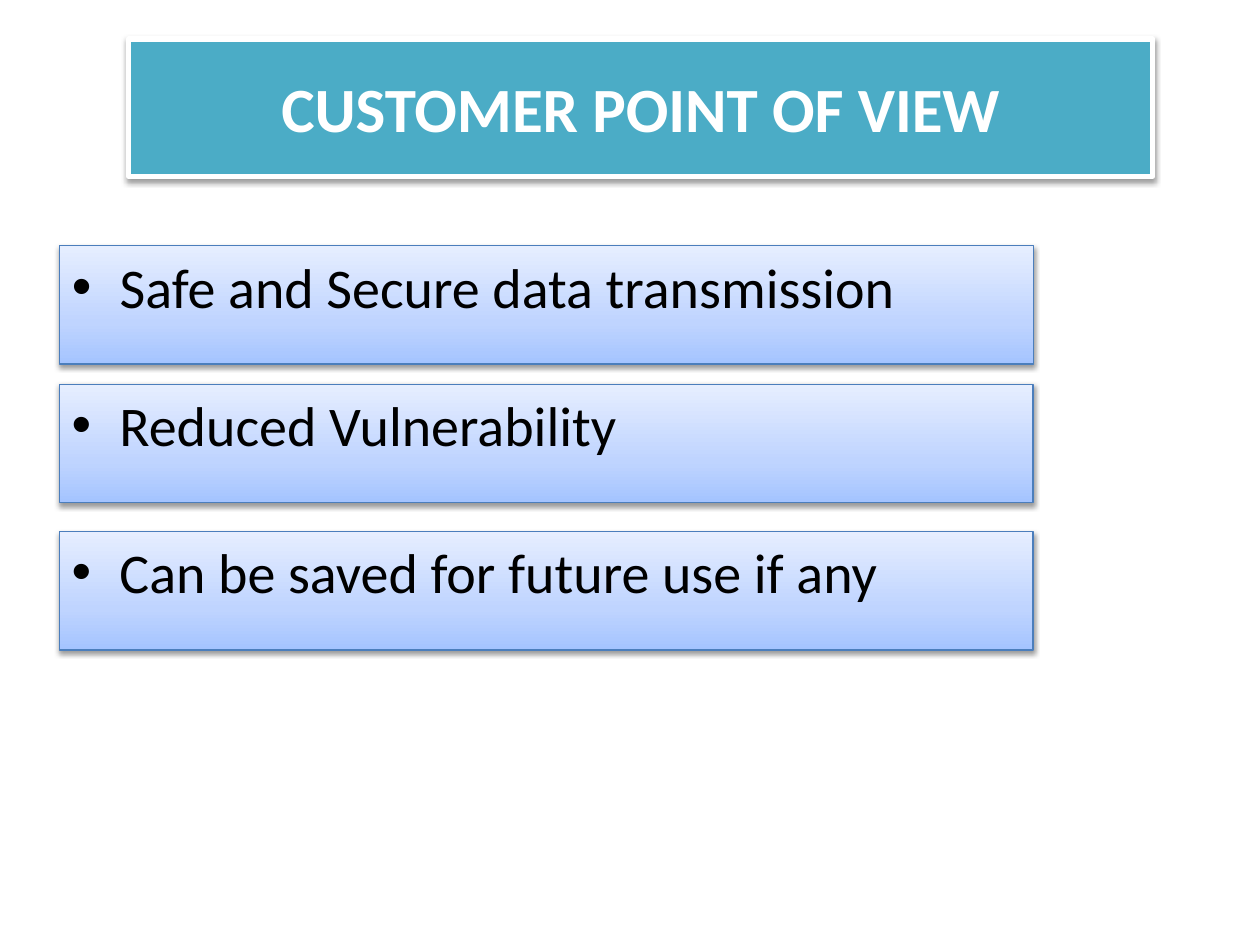
"""Build the customer point of view slide."""
from copy import deepcopy

from lxml import etree
from pptx import Presentation
from pptx.dml.color import RGBColor
from pptx.enum.shapes import MSO_SHAPE
from pptx.enum.text import MSO_ANCHOR, MSO_AUTO_SIZE, PP_ALIGN
from pptx.oxml.ns import qn
from pptx.util import Inches, Pt

RECTANGLE = MSO_SHAPE.RECTANGLE
TOP, MIDDLE = MSO_ANCHOR.TOP, MSO_ANCHOR.MIDDLE
LEFT, CENTER = PP_ALIGN.LEFT, PP_ALIGN.CENTER
NO_AUTOFIT = MSO_AUTO_SIZE.NONE

FONT = "Calibri"
BENEFIT_STOPS = [(0, "A4C4FF"), (0.35, "BFD4FF"), (1, "E6EEFF")]
BENEFITS = [
    ("Safe and Secure data transmission", 1.95),
    ("Reduced Vulnerability", 3.05),
    ("Can be saved for future use if any", 4.22),
]


def rgb(color):
    """Turn a hex string into a colour."""
    return RGBColor.from_string(color)


def place(shape, left, top, width, height):
    """Position a shape, in inches."""
    shape.left, shape.top = Inches(left), Inches(top)
    shape.width, shape.height = Inches(width), Inches(height)


def set_outline(shape, color, weight):
    """Give a shape a solid outline."""
    shape.line.color.rgb = rgb(color)
    shape.line.width = Pt(weight)


def set_gradient(shape, stops, angle):
    """Fill a shape with a linear gradient of any number of stops."""
    shape.fill.gradient()
    shape.fill.gradient_angle = angle
    stop_list = shape._element.spPr.find(".//" + qn("a:gsLst"))
    first_stop = stop_list[0]
    for extra in range(len(stops) - len(stop_list)):
        stop_list.append(deepcopy(first_stop))
    for stop, (position, color) in zip(shape.fill.gradient_stops, stops):
        stop.position = position
        stop.color.rgb = rgb(color)


def add_drop_shadow(shape):
    """Cast a soft shadow straight down."""
    shape.shadow.inherit = False
    effects = shape._element.spPr.find(qn("a:effectLst"))
    shadow = etree.SubElement(effects, qn("a:outerShdw"), blurRad=str(Pt(3.1)),
                              dist=str(Pt(1.6)), dir="5400000", rotWithShape="0")
    shade = etree.SubElement(shadow, qn("a:srgbClr"), val="000000")
    etree.SubElement(shade, qn("a:alpha"), val="38000")


def round_corners(shape):
    """Give a placed placeholder a rounded rectangle outline."""
    geometry = etree.SubElement(shape._element.spPr, qn("a:prstGeom"), prst="roundRect")
    etree.SubElement(geometry, qn("a:avLst"))


def add_bullet(paragraph):
    """Give a paragraph a hanging round bullet."""
    properties = paragraph._p.get_or_add_pPr()
    properties.set("marL", str(Inches(0.38)))
    properties.set("indent", str(Inches(-0.38)))
    etree.SubElement(properties, qn("a:buFont"), typeface="Arial")
    etree.SubElement(properties, qn("a:buChar"), char="•")


def write_text(shape, text, size, color, bold=False, align=LEFT, anchor=TOP,
               space_before=0, bullet=False):
    """Write one formatted paragraph into a shape."""
    frame = shape.text_frame
    frame.word_wrap = True
    frame.auto_size = NO_AUTOFIT
    frame.vertical_anchor = anchor
    paragraph = frame.paragraphs[0]
    paragraph.alignment = align
    paragraph.space_before = Pt(space_before)
    if bullet:
        add_bullet(paragraph)
    run = paragraph.add_run()
    run.text = text
    run.font.name = FONT
    run.font.size = Pt(size)
    run.font.bold = bold
    run.font.color.rgb = rgb(color)


def format_heading(heading, text):
    """Turn the title placeholder into a rounded banner."""
    place(heading, 1.02, 0.31, 8.13, 1.09)
    round_corners(heading)
    heading.fill.solid()
    heading.fill.fore_color.rgb = rgb("4BACC6")
    set_outline(heading, "FFFFFF", 3)
    add_drop_shadow(heading)
    write_text(heading, text, size=36, color="FFFFFF", bold=True,
               align=CENTER, anchor=MIDDLE)


def format_benefit(benefit, text, top):
    """Style one benefit bar and write its bullet."""
    place(benefit, 0.47, top, 7.73, 0.94)
    set_gradient(benefit, BENEFIT_STOPS, 90)
    set_outline(benefit, "4B7EBC", 0.75)
    add_drop_shadow(benefit)
    write_text(benefit, text, size=32, color="000000", space_before=6.4, bullet=True)


def main():
    """Build and save the slide."""
    deck = Presentation()
    deck.slide_width, deck.slide_height = Inches(10), Inches(7.5)
    slide = deck.slides.add_slide(deck.slide_layouts[1])
    format_heading(slide.shapes.title, "CUSTOMER POINT OF VIEW")
    for index, (text, top) in enumerate(BENEFITS):
        if index == 0:
            benefit = slide.placeholders[1]
        else:
            benefit = slide.shapes.add_shape(RECTANGLE, 0, 0, 0, 0)
        format_benefit(benefit, text, top)
    deck.save("out.pptx")


if __name__ == "__main__":
    main()
